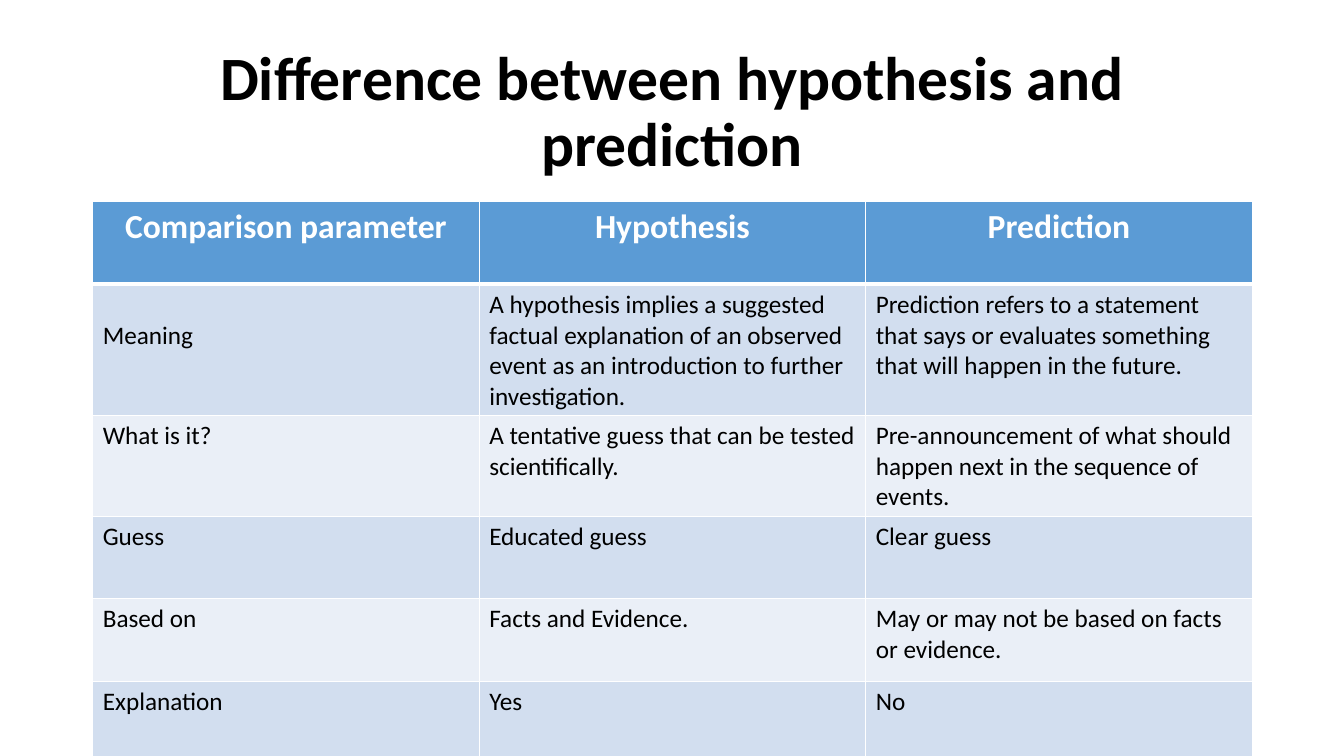
from dataclasses import dataclass

from lxml import etree
from pptx import Presentation
from pptx.dml.color import RGBColor
from pptx.enum.text import MSO_ANCHOR, PP_ALIGN
from pptx.oxml.ns import qn
from pptx.util import Pt

PX = 9144  # EMU per px, 100 px to the inch
CENTER, LEFT = PP_ALIGN.CENTER, PP_ALIGN.LEFT
MIDDLE = MSO_ANCHOR.MIDDLE


@dataclass(frozen=True)
class Theme:
    font: str = "Calibri"
    ink: str = "000000"
    paper: str = "FFFFFF"
    header: str = "5B9BD5"
    bands: tuple = ("D2DEEF", "EAEFF7")
    title_size: int = 44
    header_size: int = 24
    body_size: int = 18
    rule: int = 1
    header_rule: int = 3


THEME = Theme()
TITLE = "Difference between hypothesis and prediction"
COMPARISON = [
    ("Comparison parameter", "Hypothesis", "Prediction"),
    ("Meaning",
     "A hypothesis implies a suggested factual explanation of an observed event "
     "as an introduction to further investigation.",
     "Prediction refers to a statement that says or evaluates something that "
     "will happen in the future."),
    ("What is it?",
     "A tentative guess that can be tested scientifically.",
     "Pre-announcement of what should happen next in the sequence of events."),
    ("Guess", "Educated guess", "Clear guess"),
    ("Based on", "Facts and Evidence.", "May or may not be based on facts or evidence."),
    ("Explanation", "Yes", "No"),
]
ROW_HEIGHT = 82
MEANING_TOP = 36  # drops the label to the second text line


def px(*lengths):
    return [length * PX for length in lengths]


def write(frame, text, *, size, color=THEME.ink, bold=False, align=LEFT, spacing=None):
    frame.word_wrap = True
    paragraph = frame.paragraphs[0]
    paragraph.alignment = align
    if spacing:
        paragraph.line_spacing = spacing
    run = paragraph.add_run()
    run.text = text
    run.font.name = THEME.font
    run.font.size = Pt(size)
    run.font.bold = bold
    run.font.color.rgb = RGBColor.from_string(color)


def rule_cell(cell, **widths):
    """Draw the cell's borders; widths are points keyed by side, in the order L, R, T, B."""
    properties = cell._tc.get_or_add_tcPr()
    for side, width in widths.items():
        line = etree.SubElement(properties, qn(f"a:ln{side}"), w=str(Pt(width)))
        fill = etree.SubElement(line, qn("a:solidFill"))
        etree.SubElement(fill, qn("a:srgbClr"), val=THEME.paper)


def add_title(slide, box):
    frame = slide.shapes.add_textbox(*px(*box)).text_frame
    frame.vertical_anchor = MIDDLE
    write(frame, TITLE, size=THEME.title_size, bold=True, align=CENTER, spacing=0.9)


def add_comparison(slide, box):
    table = slide.shapes.add_table(len(COMPARISON), len(COMPARISON[0]), *px(*box)).table
    for row, texts in enumerate(COMPARISON):
        is_header = row == 0
        fill = THEME.header if is_header else THEME.bands[(row - 1) % 2]
        top = THEME.header_rule if row == 1 else THEME.rule
        bottom = THEME.header_rule if is_header else THEME.rule
        for column, text in enumerate(texts):
            cell = table.cell(row, column)
            rule_cell(cell, L=THEME.rule, R=THEME.rule, T=top, B=bottom)
            cell.fill.solid()
            cell.fill.fore_color.rgb = RGBColor.from_string(fill)
            if is_header:
                write(cell.text_frame, text, size=THEME.header_size,
                      color=THEME.paper, bold=True, align=CENTER)
            else:
                write(cell.text_frame, text, size=THEME.body_size)
    table.cell(1, 0).margin_top = MEANING_TOP * PX


def main():
    presentation = Presentation()
    presentation.slide_width, presentation.slide_height = px(1333, 750)
    slide = presentation.slides.add_slide(presentation.slide_layouts[6])
    add_title(slide, (92, 40, 1150, 145))
    add_comparison(slide, (92, 200, 1150, ROW_HEIGHT * len(COMPARISON)))
    presentation.save("out.pptx")


if __name__ == "__main__":
    main()
